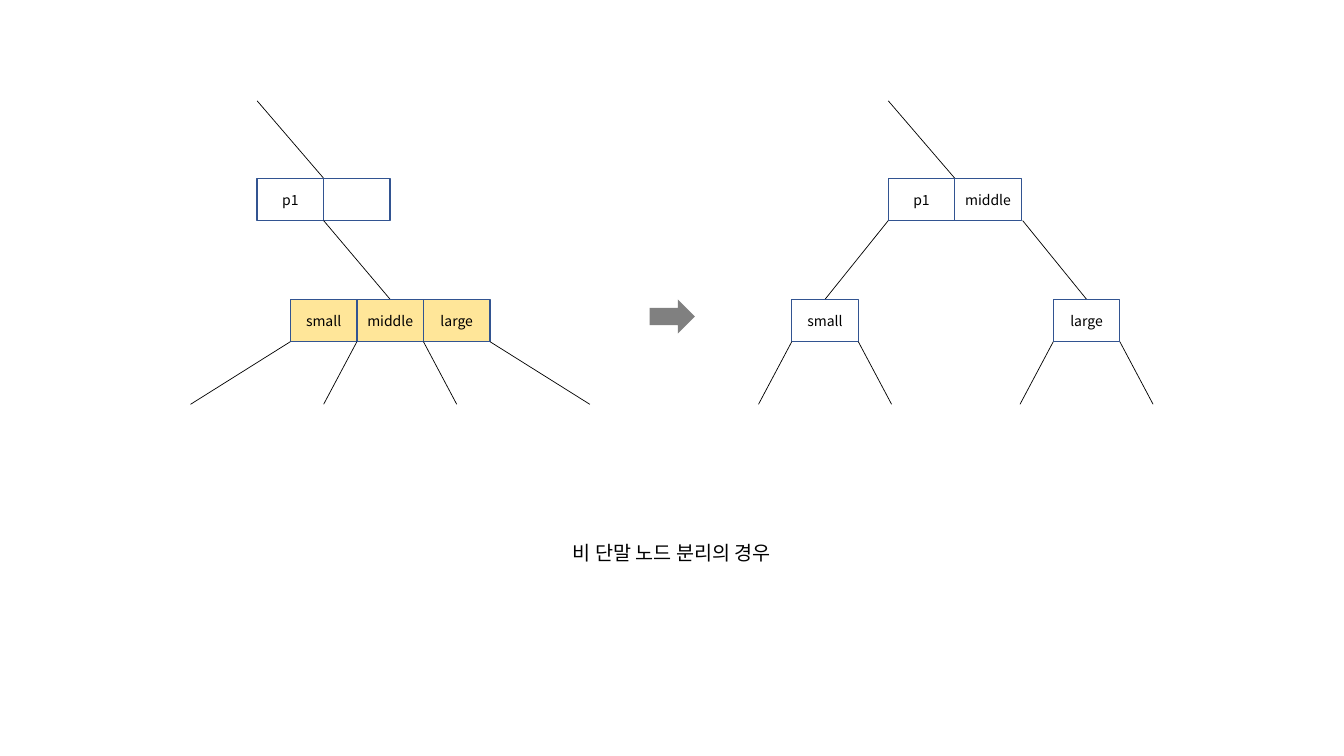
from lxml import etree
from pptx import Presentation
from pptx.dml.color import RGBColor
from pptx.enum.shapes import MSO_CONNECTOR, MSO_SHAPE
from pptx.enum.text import MSO_ANCHOR, PP_ALIGN
from pptx.oxml.ns import qn
from pptx.util import Inches, Pt

STRAIGHT = MSO_CONNECTOR.STRAIGHT
RECTANGLE = MSO_SHAPE.RECTANGLE
RIGHT_ARROW = MSO_SHAPE.RIGHT_ARROW
MIDDLE = MSO_ANCHOR.MIDDLE
CENTER = PP_ALIGN.CENTER

BLACK = RGBColor(0x00, 0x00, 0x00)
WHITE = RGBColor(0xFF, 0xFF, 0xFF)
BLUE = RGBColor(0x32, 0x54, 0x91)
YELLOW = RGBColor(0xFF, 0xE6, 0x99)
GRAY = RGBColor(0x80, 0x80, 0x80)
FONT = "Noto Sans CJK KR"

# One grid cell is one key of a tree node.
COLUMN, ROW = 0.66, 0.42
GRID_TOP = 1.0
LEFT_TREE, RIGHT_TREE = 2.55, 8.81
ENTRY_ROW, PARENT_ROW, CHILD_ROW, TAIL_ROW = 0, 1.83, 4.69, 7.17


def write_text(shape, text, size=10, color=BLACK, font_name=FONT):
    frame = shape.text_frame
    frame.word_wrap = True
    frame.vertical_anchor = MIDDLE
    frame.margin_left = frame.margin_right = 0
    frame.margin_top = frame.margin_bottom = 0
    paragraph = frame.paragraphs[0]
    paragraph.alignment = CENTER
    run = paragraph.add_run()
    run.text = text
    run.font.size = Pt(size)
    run.font.color.rgb = color
    run.font.name = font_name
    east_asian = etree.SubElement(run.font._element, qn("a:ea"))
    east_asian.set("typeface", font_name)


class TreeSlide:
    """Draws on one slide, in columns and rows counted from the current tree's left edge."""

    def __init__(self, slide):
        self.slide = slide
        self.tree_left = LEFT_TREE

    def place(self, column, row):
        return Inches(self.tree_left + column * COLUMN), Inches(GRID_TOP + row * ROW)

    def shape(self, kind, column, row, columns=1, rows=1, fill=None, line=None):
        left, top = self.place(column, row)
        shape = self.slide.shapes.add_shape(
            kind, left, top, Inches(columns * COLUMN), Inches(rows * ROW))
        shape.shadow.inherit = False
        if fill is None:
            shape.fill.background()
        else:
            shape.fill.solid()
            shape.fill.fore_color.rgb = fill
        if line is None:
            shape.line.fill.background()
        else:
            shape.line.color.rgb = line
            shape.line.width = Pt(1)
        return shape

    def node(self, keys, column, row, fill=None):
        """Draw a row of key cells; an empty key leaves its cell blank."""
        for index, key in enumerate(keys):
            cell = self.shape(RECTANGLE, column + index, row, fill=fill, line=BLUE)
            if key:
                write_text(cell, key)

    def branch(self, start_column, start_row, end_column, end_row):
        connector = self.slide.shapes.add_connector(
            STRAIGHT, *self.place(start_column, start_row), *self.place(end_column, end_row))
        connector.line.color.rgb = BLACK
        connector.line.width = Pt(0.5)
        etree.SubElement(connector._element.spPr, qn("a:effectLst"))

    def parent(self, keys):
        self.branch(0, ENTRY_ROW, 1, PARENT_ROW)
        self.node(keys, 0, PARENT_ROW)

    def child(self, keys, column, parent_column, tail_spread, fill):
        """Draw a child node, the branch above it and one tail below each cell edge."""
        self.branch(parent_column, PARENT_ROW + 1, column + len(keys) / 2, CHILD_ROW)
        self.node(keys, column, CHILD_ROW, fill)
        for edge, spread in enumerate(tail_spread):
            self.branch(column + edge, CHILD_ROW + 1, column + edge + spread, TAIL_ROW)

    def caption(self, text, left, top, width, height):
        box = self.slide.shapes.add_textbox(
            Inches(left), Inches(top), Inches(width), Inches(height))
        write_text(box, text, size=14)


def main():
    presentation = Presentation()
    presentation.slide_width = Inches(13.33)
    presentation.slide_height = Inches(7.5)
    drawing = TreeSlide(presentation.slides.add_slide(presentation.slide_layouts[6]))

    drawing.caption("비 단말 노드 분리의 경우", 2.88, 5.31, 7.57, 0.34)

    drawing.parent(["p1", ""])
    drawing.child(["small", "middle", "large"], 0.5, 1, (-1.5, -0.5, 0.5, 1.5), YELLOW)
    drawing.shape(RIGHT_ARROW, 5.9, CHILD_ROW, columns=0.68, rows=0.81, fill=GRAY)

    drawing.tree_left = RIGHT_TREE
    drawing.parent(["p1", "middle"])
    for key, column, parent_column in (("small", -1.45, 0), ("large", 2.48, 2.02)):
        drawing.child([key], column, parent_column, (-0.5, 0.5), WHITE)

    presentation.save("out.pptx")


if __name__ == "__main__":
    main()
